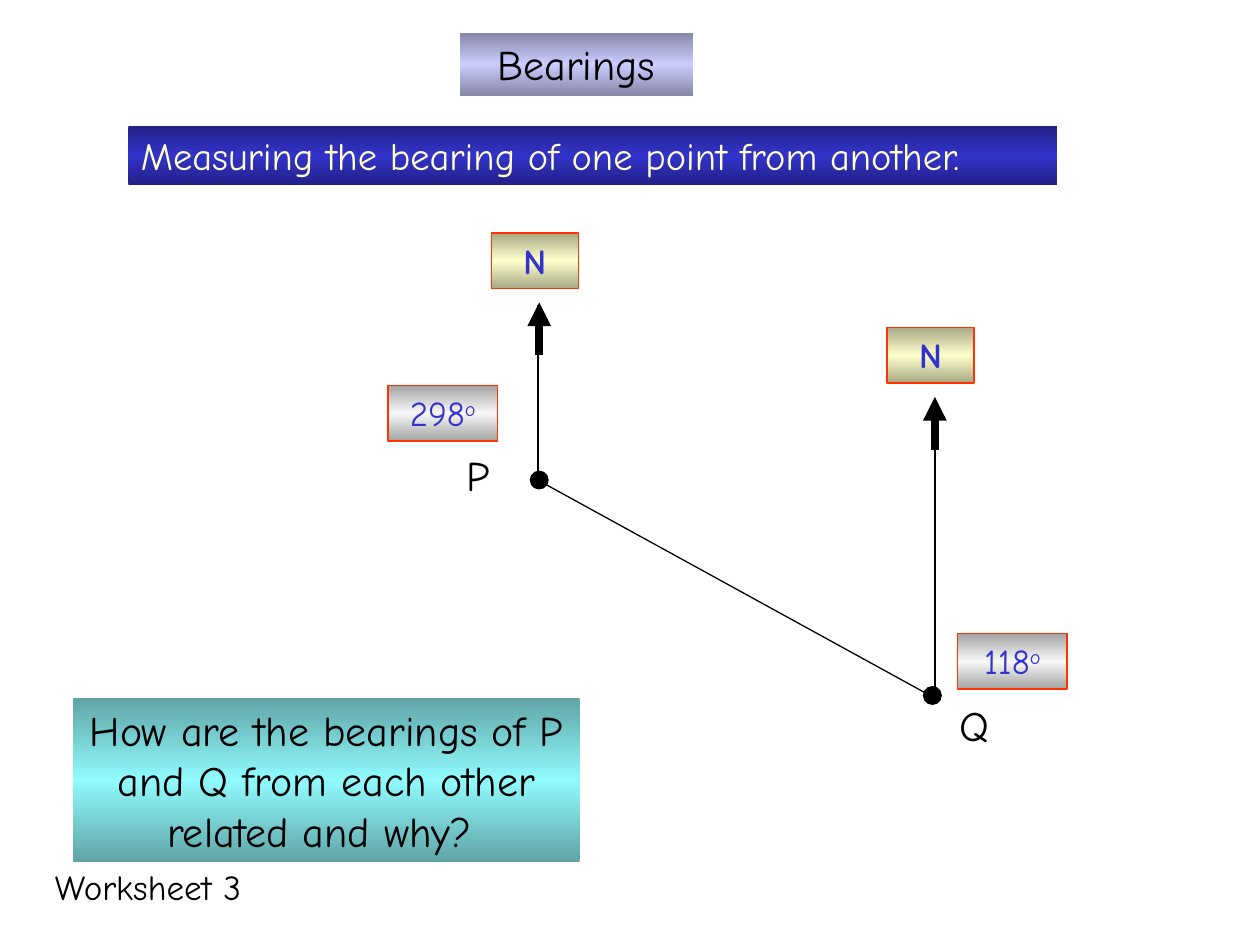
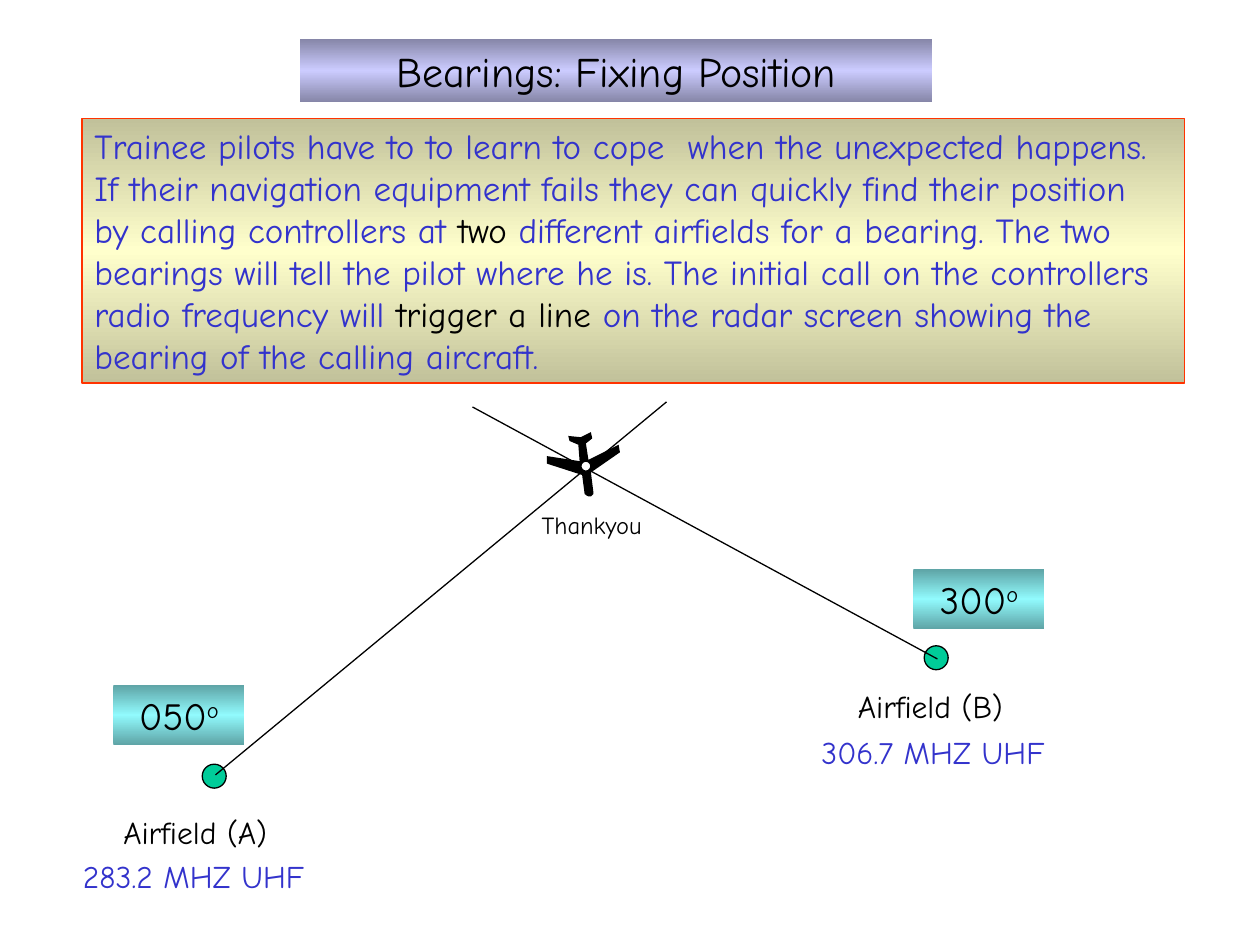
from copy import deepcopy
from pptx import Presentation
from pptx.dml.color import RGBColor
from pptx.enum.shapes import MSO_CONNECTOR, MSO_SHAPE
from pptx.enum.text import MSO_ANCHOR, MSO_AUTO_SIZE, PP_ALIGN
from pptx.oxml.ns import qn
from pptx.util import Inches, Pt
from lxml.etree import SubElement

# Shared look
FACE = "Comic Neue"
BLACK, WHITE, BLUE, CREAM = "000000", "FFFFFF", "3333CC", "FFFFCC"
RED, GREEN = "FF3300", "00CC99"

# Band styles: edge colour, middle colour, outline, text colour, size, centred
BANDS = {
    "title": ("8686A8", "CCCCFF", None, BLACK, 24, True),
    "topic": ("212186", BLUE, None, CREAM, 22, False),
    "north": ("A8A886", CREAM, RED, BLUE, 20, True),
    "angle": ("A3A3A3", "F8F8F8", RED, BLUE, 20, True),
    "ask": ("5FA5A7", "91FAFD", None, BLACK, 24, True),
    "call": ("5FA5A7", "91FAFD", None, BLACK, 22, True),
    "story": ("C1C19A", CREAM, RED, BLUE, 20, False),
}

# Slide 1 content; "^" comes before a raised letter
HEADS = [
    ("title", "Bearings", 3.65, 0.26, 1.85, 0.5),
    ("topic", "Measuring the bearing of one point from another.",
     1.02, 1, 7.37, 0.47),
    ("ask", "How are the bearings of P and Q from each other related and why? ",
     0.58, 5.54, 4.02, 1.3),
]
# Name, dot centre, north line x, arrow tip, name place, bearing, its place
POINTS = [
    ("P", (4.28, 3.81), 4.27, (4.28, 2.4), (3.48, 3.52),
     "298^o", (3.08, 3.06)),
    ("Q", (7.4, 5.52), 7.42, (7.42, 3.15), (7.42, 5.5),
     "118^o", (7.6, 5.03)),
]
SHEET = "Worksheet 3"

# Slide 2 content; words between "*" are black
FIXING = "Bearings: Fixing Position"
STORY = (
    "Trainee pilots have to to learn to cope  when the unexpected happens. "
    "If their navigation equipment fails they can quickly find their position "
    "by calling controllers at *two *different airfields for a bearing. "
    "The two bearings will tell the pilot where he is. The initial call on "
    "the controllers radio frequency will *trigger a line* on the radar "
    "screen showing the bearing of the calling aircraft.")
# Name, its place, radio, its place, dot centre, ray, bearing, its place
FIELDS = [
    ("Airfield (A)", (0.88, 6.4), "283.2 MHZ UHF", (0.56, 6.75),
     (1.7, 6.16), ((1.71, 6.15), (5.29, 3.19)), "050^o", (0.9, 5.44)),
    ("Airfield (B)", (6.71, 5.4), "306.7 MHZ UHF", (6.42, 5.77),
     (7.43, 5.22), ((7.44, 5.23), (3.75, 3.23)), "300^o", (7.25, 4.52)),
]
PLANE = [
    (4.59, 3.53), (4.6, 3.66), (4.34, 3.62), (4.34, 3.68), (4.62, 3.77),
    (4.64, 3.92), (4.65, 3.93), (4.67, 3.94), (4.69, 3.94), (4.71, 3.92),
    (4.71, 3.91), (4.69, 3.75), (4.92, 3.59), (4.91, 3.53), (4.67, 3.65),
    (4.65, 3.52), (4.7, 3.48), (4.69, 3.43), (4.61, 3.47), (4.51, 3.46),
    (4.52, 3.5),
]


def rgb(code):
    return RGBColor.from_string(code)


def outline(shape, color):
    shape.shadow.inherit = False
    if color:
        shape.line.color.rgb = rgb(color)
        shape.line.width = Pt(0.75)
    else:
        shape.line.fill.background()


def write(shape, text, color, size, center):
    frame = shape.text_frame
    frame.word_wrap = True
    frame.auto_size = MSO_AUTO_SIZE.SHAPE_TO_FIT_TEXT
    frame.vertical_anchor = MSO_ANCHOR.TOP
    para = frame.paragraphs[0]
    para.alignment = PP_ALIGN.CENTER if center else PP_ALIGN.LEFT
    for i, part in enumerate(text.split("*")):
        for j, bit in enumerate(part.split("^")):
            run = para.add_run()
            run.text = bit
            font = run.font
            font.name, font.size = FACE, Pt(size)
            font.color.rgb = rgb(BLACK if i % 2 else color)
            if j:
                run._r.get_or_add_rPr().set("baseline", "30000")
    return para


def label(slide, text, x, y, w, h, color=BLACK, size=18, center=False):
    box = slide.shapes.add_textbox(*map(Inches, (x, y, w, h)))
    write(box, text, color, size, center)


def band(slide, kind, text, x, y, w, h):
    edge, mid, line, color, size, center = BANDS[kind]
    box = slide.shapes.add_shape(
        MSO_SHAPE.RECTANGLE, *map(Inches, (x, y, w, h)))
    outline(box, line)
    fill = box.fill
    fill.gradient()
    fill.gradient_angle = 90
    # Third stop, so that the edges match
    stops = box._element.spPr.find(qn("a:gradFill")).find(qn("a:gsLst"))
    stops.append(deepcopy(stops[0]))
    for stop, place, tone in zip(
            fill.gradient_stops, (0, 0.5, 1), (edge, mid, edge)):
        stop.position = place
        stop.color.rgb = rgb(tone)
    return write(box, text, color, size, center)


def dot(slide, mid, size, color):
    x, y = (v - size / 2 for v in mid)
    disc = slide.shapes.add_shape(
        MSO_SHAPE.OVAL, *map(Inches, (x, y, size, size)))
    disc.fill.solid()
    disc.fill.fore_color.rgb = rgb(color)
    outline(disc, BLACK)


def line(slide, start, end, width=0.75, arrow=False):
    link = slide.shapes.add_connector(
        MSO_CONNECTOR.STRAIGHT, *map(Inches, (*start, *end)))
    link.line.color.rgb = rgb(BLACK)
    link.line.width = Pt(width)
    if arrow:
        SubElement(link.line._get_or_add_ln(), qn("a:tailEnd"),
                   type="triangle")
    SubElement(link._element.spPr, qn("a:effectLst"))


def measure(slide):
    for head in HEADS:
        band(slide, *head)
    line(slide, (7.4, 5.53), (4.25, 3.8))
    for name, mid, x, tip, spot, turn, place in POINTS:
        # North line, arrow and sign
        left, top = tip
        line(slide, (x, mid[1]), (x, top + 0.02))
        line(slide, (left, top + 0.42), tip, 4.5, True)
        sign = band(slide, "north", "N", left - 0.38, top - 0.55, 0.69, 0.44)
        sign.runs[0].font.bold = True
        # Point and its bearing
        dot(slide, mid, 0.14, BLACK)
        label(slide, name, *spot, 0.63, 0.5, size=24, center=True)
        band(slide, "angle", turn, *place, 0.87, 0.44)
    label(slide, SHEET, 0, 6.82, 2.35, 0.44, size=20, center=True)


def fix(slide):
    band(slide, "title", FIXING, 2.38, 0.31, 5.02, 0.5)
    band(slide, "story", STORY, 0.65, 0.94, 8.75, 2.1)
    for name, spot, radio, below, mid, ray, turn, place in FIELDS:
        label(slide, name, *spot, 2.08, 0.4)
        label(slide, radio, *below, 2.29, 0.4, BLUE)
        dot(slide, mid, 0.19, GREEN)
        line(slide, *ray)
        band(slide, "call", turn, *place, 1.04, 0.47)
    # Aircraft where the rays cross
    first, *rest = [(Inches(x), Inches(y)) for x, y in PLANE]
    pen = slide.shapes.build_freeform(*first)
    pen.add_line_segments(rest, close=True)
    plane = pen.convert_to_shape()
    plane.fill.solid()
    plane.fill.fore_color.rgb = rgb(BLACK)
    outline(plane, None)
    dot(slide, (4.65, 3.7), 0.08, WHITE)
    label(slide, "Thankyou", 4.2, 4, 1.06, 0.34, size=14)


def main():
    deck = Presentation()
    deck.slide_width, deck.slide_height = Inches(10), Inches(7.5)
    for draw in (measure, fix):
        draw(deck.slides.add_slide(deck.slide_layouts[6]))
    deck.save("out.pptx")


if __name__ == "__main__":
    main()
